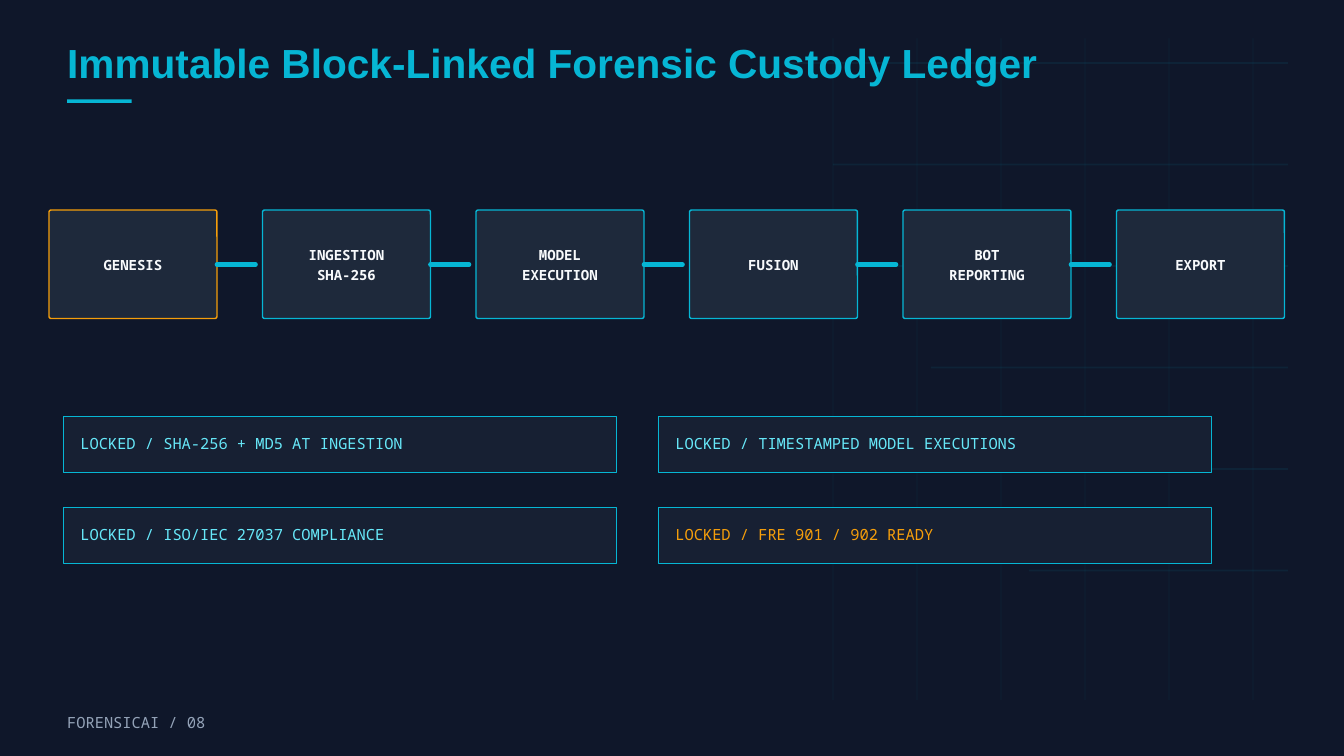
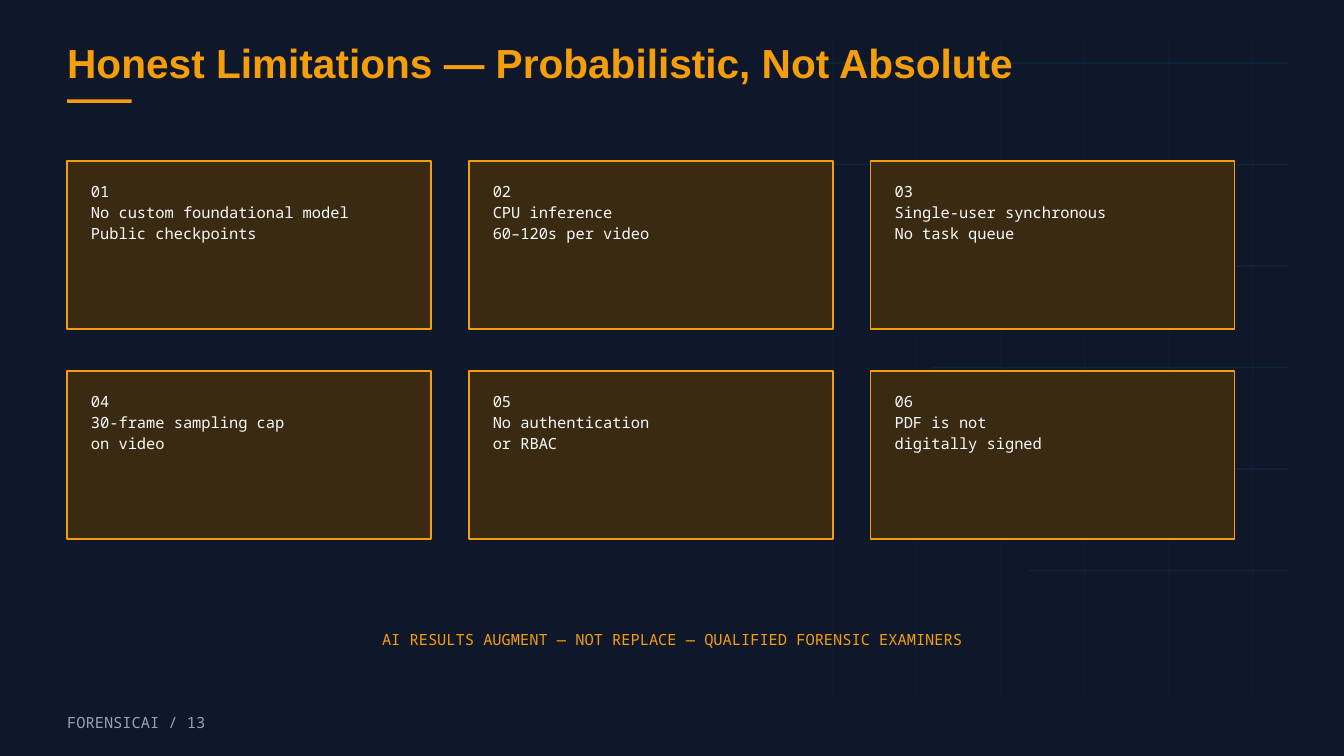
import pptx
import pptx.dml.color
import pptx.enum.shapes
import pptx.enum.text
import pptx.oxml.ns
import pptx.util
from lxml import etree

PX = 9525  # EMU in one px of a 1920 by 1080 slide
MONO = "Noto Sans Mono"
SHAPES = pptx.enum.shapes.MSO_SHAPE
ALIGN = pptx.enum.text.PP_ALIGN
ANCHOR = pptx.enum.text.MSO_ANCHOR

COLORS = {
    "background": "0F172A",
    "cyan": "06B6D4",
    "amber": "F59E0B",
    "pale_cyan": "67E8F9",
    "white": "F8FAFC",
    "grey": "94A3B8",
    "node": "1E293B",
    "lock": "172033",
    "card": "3A2A12",
}

STAGES = [
    ["GENESIS"],
    ["INGESTION", "SHA-256"],
    ["MODEL", "EXECUTION"],
    ["FUSION"],
    ["BOT", "REPORTING"],
    ["EXPORT"],
]
LOCKS = [
    ("SHA-256 + MD5 AT INGESTION", "pale_cyan"),
    ("TIMESTAMPED MODEL EXECUTIONS", "pale_cyan"),
    ("ISO/IEC 27037 COMPLIANCE", "pale_cyan"),
    ("FRE 901 / 902 READY", "amber"),
]
LIMITATIONS = [
    ["No custom foundational model", "Public checkpoints"],
    ["CPU inference", "60–120s per video"],
    ["Single-user synchronous", "No task queue"],
    ["30-frame sampling cap", "on video"],
    ["No authentication", "or RBAC"],
    ["PDF is not", "digitally signed"],
]


def px(*lengths):
    return [pptx.util.Emu(length * PX) for length in lengths]


def rgb(name):
    return pptx.dml.color.RGBColor.from_string(COLORS[name])


def write(box, lines, color, size=16.5, spacing=22.3, font=MONO, bold=False,
          align=ALIGN.LEFT, anchor=ANCHOR.TOP, insets=(0, 0, 0, 0)):
    """Fill a box with one paragraph a line; insets are left, top, right, bottom."""
    frame = box.text_frame
    frame.word_wrap = True
    frame.vertical_anchor = anchor
    (frame.margin_left, frame.margin_top,
     frame.margin_right, frame.margin_bottom) = px(*insets)
    for index, line in enumerate(lines):
        para = frame.add_paragraph() if index else frame.paragraphs[0]
        para.alignment = align
        para.line_spacing = pptx.util.Pt(spacing)
        span = para.add_run()
        span.text = line
        span.font.name = font
        span.font.size = pptx.util.Pt(size)
        span.font.bold = bold
        span.font.color.rgb = rgb(color)


def add_text(page, left, top, width, height, text, color, **style):
    box = page.shapes.add_textbox(*px(left, top, width, height))
    write(box, [text], color, **style)


def add_panel(page, left, top, width, height, fill, outline=None, weight=1.5,
              kind=SHAPES.RECTANGLE):
    panel = page.shapes.add_shape(kind, *px(left, top, width, height))
    panel.shadow.inherit = False
    panel.fill.solid()
    panel.fill.fore_color.rgb = rgb(fill)
    if outline:
        panel.line.color.rgb = rgb(outline)
        panel.line.width = pptx.util.Pt(weight)
    else:
        panel.line.fill.background()
    return panel


def add_line(page, x1, y1, x2, y2, weight, opacity=None):
    """Draw a cyan line; opacity is a percentage, and solid lines get round caps."""
    line = page.shapes.add_connector(
        pptx.enum.shapes.MSO_CONNECTOR.STRAIGHT, *px(x1, y1, x2, y2))
    line.line.color.rgb = rgb("cyan")
    line.line.width = pptx.util.Pt(weight)
    qn = pptx.oxml.ns.qn
    properties = line._element.spPr
    etree.SubElement(properties, qn("a:effectLst"))
    outline = properties.find(qn("a:ln"))
    if opacity is None:
        outline.set("cap", "rnd")
    else:
        alpha = etree.SubElement(outline.find(".//" + qn("a:srgbClr")), qn("a:alpha"))
        alpha.set("val", str(opacity * 1000))


def add_page(deck, title, accent, number):
    """Add a page with its background grid, title, underline and footer."""
    page = deck.slides.add_slide(deck.slide_layouts[6])
    page.background.fill.solid()
    page.background.fill.fore_color.rgb = rgb("background")
    for index in range(6):
        y = 90 + 145 * index
        x = 1190 + 120 * index
        add_line(page, 1120 + 70 * index, y, 1840, y, 2, opacity=8)
        add_line(page, x, 55, x, 1000, 1, opacity=8)
    add_text(page, 96, 61, 1728, 72, title, accent,
             size=43.5, spacing=47, font="Arial", bold=True)
    add_panel(page, 96, 142, 92, 5, accent)
    add_text(page, 96, 1015, 500, 29, f"FORENSICAI / {number:02}", "grey")
    return page


def add_stage_chain(page):
    width, height, pitch = 240, 155, 305
    for index, lines in enumerate(STAGES):
        left = 70 + pitch * index
        node = add_panel(page, left, 300, width, height, "node",
                         "cyan" if index else "amber",
                         kind=SHAPES.ROUNDED_RECTANGLE)
        node.adjustments[0] = 3 / height
        write(node, lines, "white", size=15, spacing=21, bold=True,
              align=ALIGN.CENTER, anchor=ANCHOR.MIDDLE, insets=(6, 5, 6, 7))
        if index < len(STAGES) - 1:
            right = left + width
            add_line(page, right, 378, right + 55, 378, 5)


def add_locks(page):
    for index, (text, color) in enumerate(LOCKS):
        row, column = divmod(index, 2)
        lock = add_panel(page, 90 + 850 * column, 595 + 130 * row, 790, 80,
                         "lock", "cyan", weight=0.75)
        write(lock, [f"LOCKED / {text}"], color, insets=(25, 22, 5, 0))


def add_limitation_cards(page):
    for index, lines in enumerate(LIMITATIONS):
        row, column = divmod(index, 3)
        card = add_panel(page, 96 + 574 * column, 230 + 300 * row, 520, 240,
                         "card", "amber")
        write(card, [f"{index + 1:02}"] + lines, "white", insets=(34, 27, 36, 0))


def main():
    deck = pptx.Presentation()
    deck.slide_width, deck.slide_height = px(1920, 1080)

    ledger = add_page(deck, "Immutable Block-Linked Forensic Custody Ledger", "cyan", 8)
    add_stage_chain(ledger)
    add_locks(ledger)

    limits = add_page(deck, "Honest Limitations — Probabilistic, Not Absolute", "amber", 13)
    add_limitation_cards(limits)
    add_text(limits, 250, 897, 1420, 29,
             "AI RESULTS AUGMENT — NOT REPLACE — QUALIFIED FORENSIC EXAMINERS",
             "amber", align=ALIGN.CENTER)

    deck.save("out.pptx")


if __name__ == "__main__":
    main()
